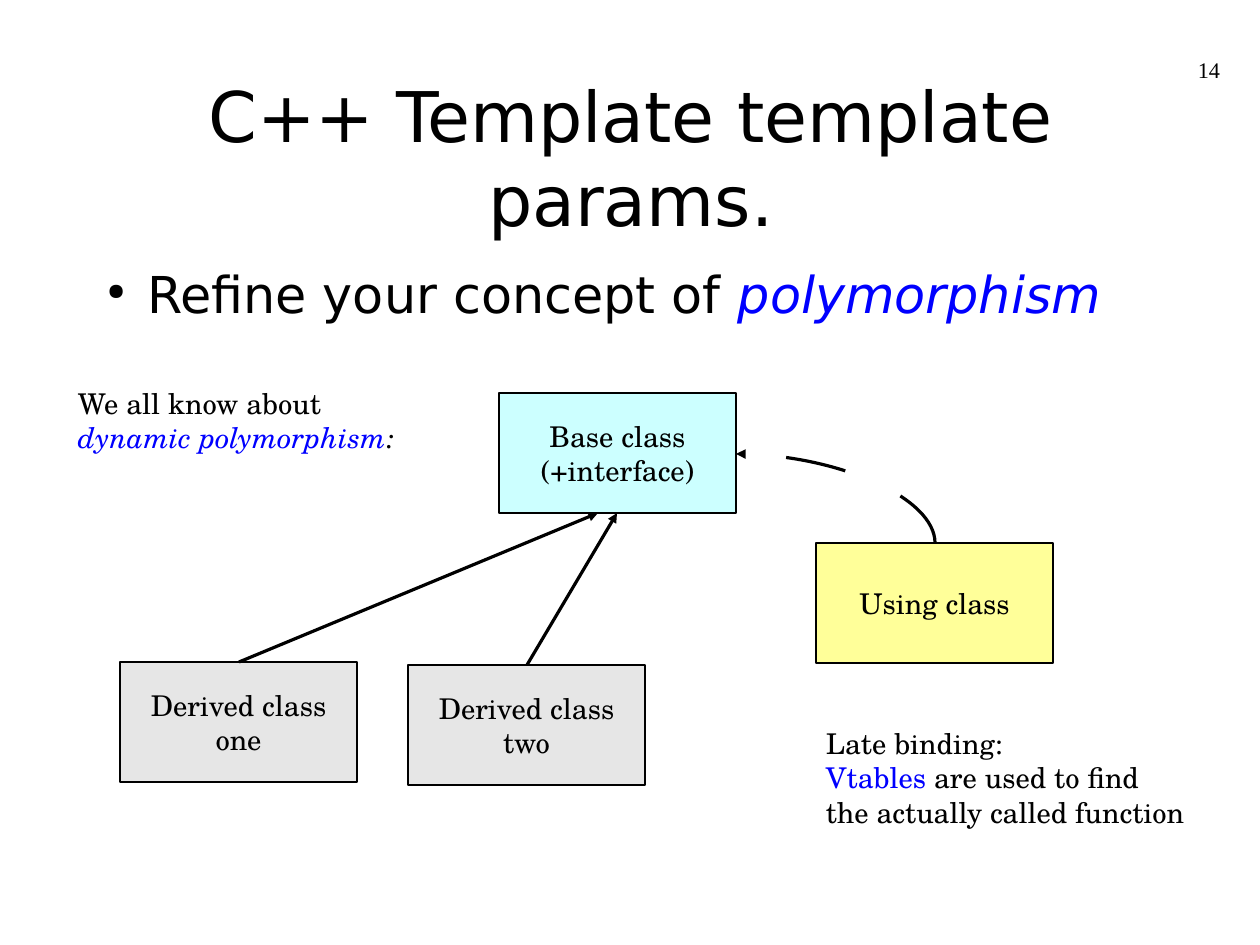
from dataclasses import dataclass

from lxml import etree
from pptx import Presentation
from pptx.dml.color import RGBColor
from pptx.enum.shapes import MSO_CONNECTOR, MSO_SHAPE
from pptx.enum.text import MSO_ANCHOR, PP_ALIGN
from pptx.oxml.ns import qn
from pptx.util import Pt

PX = 8000  # EMU in one px
LEFT, CENTER, RIGHT = PP_ALIGN.LEFT, PP_ALIGN.CENTER, PP_ALIGN.RIGHT
TOP, MIDDLE = MSO_ANCHOR.TOP, MSO_ANCHOR.MIDDLE
RECTANGLE = MSO_SHAPE.RECTANGLE
STRAIGHT, CURVE = MSO_CONNECTOR.STRAIGHT, MSO_CONNECTOR.CURVE

COLORS = {
    "black": "000000",
    "blue": "0000FF",
    "cyan": "CCFFFF",
    "gray": "E6E6E6",
    "yellow": "FFFF99",
}
SANS, SCHOLA, TIMES = "DejaVu Sans", "TeX Gyre Schola", "Times New Roman"
CLASS_WIDTH, CLASS_HEIGHT = 237, 120
DASH = "1900000"  # thousandths of a percent of the line width


@dataclass
class Span:
    text: str
    color: str = "black"
    italic: bool = False


@dataclass
class TextBlock:
    left: int
    top: int
    width: int
    height: int
    lines: list[list[Span]]
    font: str = SCHOLA
    size: int = 18
    align: PP_ALIGN = LEFT
    anchor: MSO_ANCHOR = TOP


@dataclass
class ClassBox:
    left: int
    top: int
    fill: str
    lines: list[str]


@dataclass
class Arrow:
    start: tuple[int, int]
    end: tuple[int, int]


TITLE = TextBlock(93, 75, 1076, 163, [[Span("C++ Template template params.")]],
                  SANS, 44, CENTER, MIDDLE)
BODY = TextBlock(93, 263, 1076, 615,
                 [[Span("Refine your concept of "), Span("polymorphism", "blue", True)]],
                 SANS, 32)
NOTES = [
    TextBlock(826, 726, 389, 117, [
        [Span("Late binding:")],
        [Span("Vtables", "blue"), Span(" are used to find")],
        [Span("the actually called function")],
    ]),
    TextBlock(78, 386, 345, 78, [
        [Span("We all know about")],
        [Span("dynamic polymorphism", "blue", True), Span(":", italic=True)],
    ]),
    TextBlock(926, 56, 294, 65, [[Span("14")]], TIMES, 14, RIGHT),
]
CLASSES = [
    ClassBox(499, 393, "cyan", ["Base class", "(+interface)"]),
    ClassBox(120, 662, "gray", ["Derived class", "one"]),
    ClassBox(408, 665, "gray", ["Derived class", "two"]),
    ClassBox(816, 543, "yellow", ["Using class"]),
]
INHERITANCE = [Arrow((239, 662), (598, 513)), Arrow((527, 665), (617, 513))]
USAGE = Arrow((935, 543), (736, 454))


def rgb(name: str) -> RGBColor:
    return RGBColor.from_string(COLORS[name])


def add_element(parent, tag: str, **attributes: str):
    return etree.SubElement(parent, qn(tag), attributes)


def write_text(shape, block: TextBlock) -> None:
    frame = shape.text_frame
    frame_format = {"word_wrap": True, "vertical_anchor": block.anchor,
                    "margin_left": 0, "margin_top": 0,
                    "margin_right": 0, "margin_bottom": 0}
    for name, value in frame_format.items():
        setattr(frame, name, value)
    for index, line in enumerate(block.lines):
        para = frame.add_paragraph() if index else frame.paragraphs[0]
        para.alignment = block.align
        for span in line:
            run = para.add_run()
            run.text = span.text
            font_format = {"name": block.font, "size": Pt(block.size),
                           "italic": span.italic}
            for name, value in font_format.items():
                setattr(run.font, name, value)
            run.font.color.rgb = rgb(span.color)


def add_text(page, block: TextBlock):
    box = page.shapes.add_textbox(block.left * PX, block.top * PX,
                                  block.width * PX, block.height * PX)
    write_text(box, block)
    return box


def add_bullet(para) -> None:
    para.space_after = Pt(14.1)
    properties = para._p.get_or_add_pPr()
    properties.set("marL", str(54 * PX))
    properties.set("indent", str(-40 * PX))
    color = add_element(properties, "a:buClr")
    add_element(color, "a:srgbClr", val=COLORS["black"])
    add_element(properties, "a:buSzPct", val="45000")
    add_element(properties, "a:buChar", char="●")


def add_class(page, item: ClassBox) -> None:
    block = TextBlock(item.left, item.top, CLASS_WIDTH, CLASS_HEIGHT,
                      [[Span(line)] for line in item.lines],
                      align=CENTER, anchor=MIDDLE)
    box = page.shapes.add_shape(RECTANGLE, block.left * PX, block.top * PX,
                                block.width * PX, block.height * PX)
    box.shadow.inherit = False
    box.fill.solid()
    box.fill.fore_color.rgb = rgb(item.fill)
    box.line.color.rgb = rgb("black")
    box.line.width = 0
    write_text(box, block)


def add_arrow(page, kind: MSO_CONNECTOR, arrow: Arrow, dashed: bool = False):
    ends = [value * PX for value in (*arrow.start, *arrow.end)]
    connector = page.shapes.add_connector(kind, *ends)
    connector.line.color.rgb = rgb("black")
    connector.line.width = 0
    line = connector.line._get_or_add_ln()
    if dashed:
        dash = add_element(line, "a:custDash")
        add_element(dash, "a:ds", d=DASH, sp=DASH)
    add_element(line, "a:tailEnd", type="triangle")
    add_element(connector._element.spPr, "a:effectLst")
    return connector


def add_curved_arrow(page, arrow: Arrow) -> None:
    # The quarter arc is laid out upright, then turned about its centre
    (start_x, start_y), (end_x, end_y) = arrow.start, arrow.end
    width, height = start_y - end_y, start_x - end_x
    left = (start_x + end_x - width) // 2
    top = (start_y + end_y - height) // 2
    upright = Arrow((left, top + height), (left + width, top))
    connector = add_arrow(page, CURVE, upright, dashed=True)
    properties = connector._element.spPr
    properties.find(qn("a:xfrm")).set("rot", str(270 * 60000))
    properties.find(qn("a:prstGeom")).set("prst", "curvedConnector2")


def main() -> None:
    deck = Presentation()
    deck.slide_width, deck.slide_height = 1260 * PX, 945 * PX
    page = deck.slides.add_slide(deck.slide_layouts[6])

    # Title and bullet
    add_text(page, TITLE)
    body = add_text(page, BODY)
    add_bullet(body.text_frame.paragraphs[0])

    # Class diagram
    for item in CLASSES:
        add_class(page, item)
    for arrow in INHERITANCE:
        add_arrow(page, STRAIGHT, arrow)
    add_curved_arrow(page, USAGE)

    # Remarks and page number
    for note in NOTES:
        add_text(page, note)

    deck.save("out.pptx")


if __name__ == "__main__":
    main()
